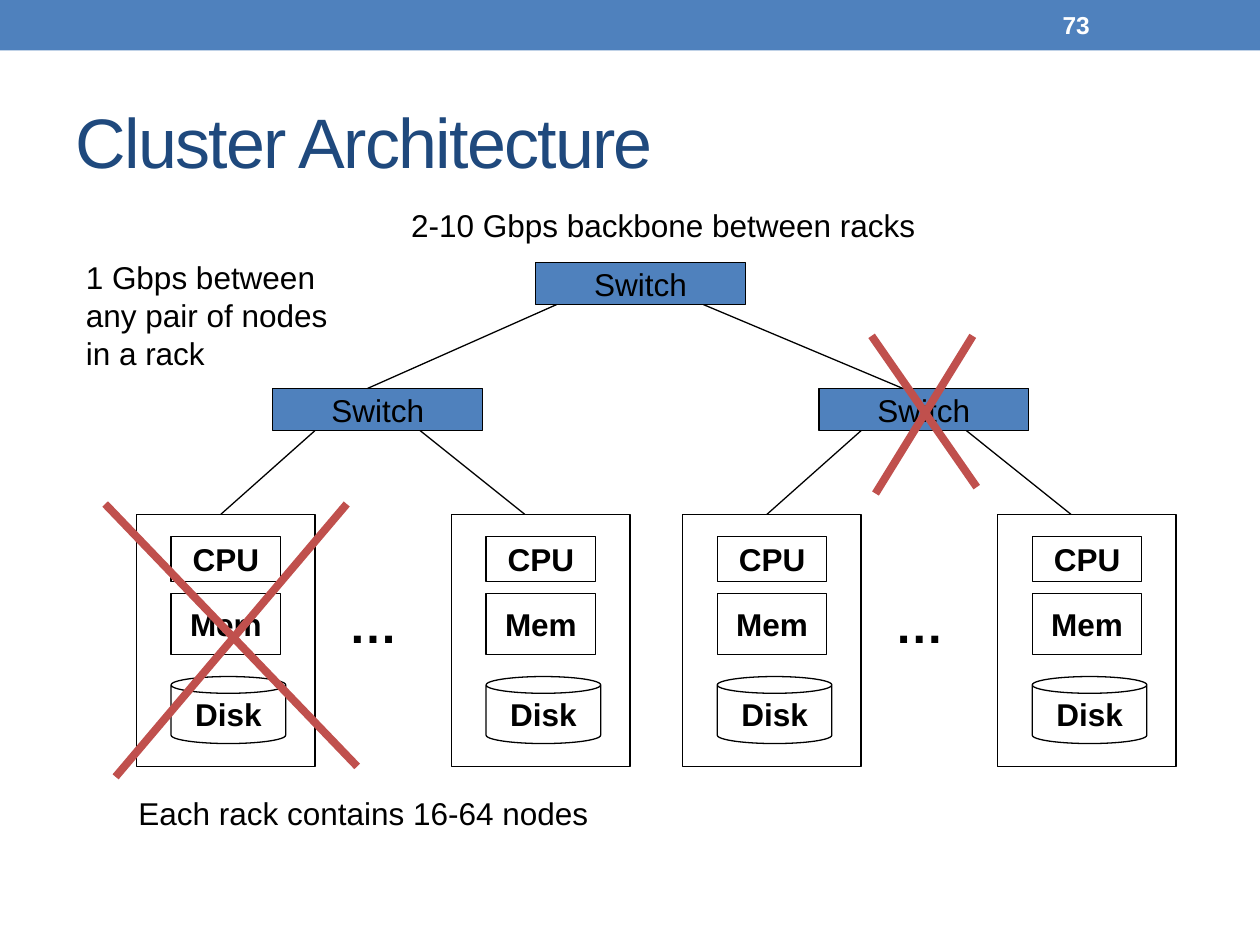
from typing import NamedTuple

from pptx import Presentation
from pptx.dml.color import RGBColor
from pptx.enum.shapes import MSO_CONNECTOR as Connector, MSO_SHAPE as Preset
from pptx.enum.text import MSO_ANCHOR as Anchor, PP_ALIGN as Align
from pptx.oxml.ns import qn
from pptx.util import Cm, Pt
from lxml.etree import SubElement

FONT = "Arial"
COLORS = {"blue": "4F81BD", "title": "1F497D", "red": "C0504D",
          "black": "000000", "white": "FFFFFF"}


class Box(NamedTuple):
    left: float
    top: float
    width: float
    height: float

    def lengths(self) -> list:
        return [Cm(value) for value in self]


class Line(NamedTuple):
    x1: float
    y1: float
    x2: float
    y2: float


class Part(NamedTuple):
    label: str
    preset: Preset
    box: Box  # relative to its rack


class Note(NamedTuple):
    text: str
    box: Box


# Layout in centimetres
CLUSTER_LEFTS = (2.75, 13.76)
NODE_PITCH = 6.35
RACK_TOP, RACK_WIDTH, RACK_HEIGHT = 10.37, 3.6, 5.08
SWITCH_WIDTH, SWITCH_HEIGHT = 4.23, 0.85
ROOT_TOP, SWITCH_TOP = 5.29, 7.83

PARTS = [
    Part("Mem", Preset.RECTANGLE, Box(0.7, 1.59, 2.21, 1.24)),
    Part("Disk", Preset.CAN, Box(0.7, 3.27, 2.31, 1.35)),
    Part("CPU", Preset.RECTANGLE, Box(0.7, 0.45, 2.21, 0.91)),
]
NOTES = [
    Note("Each rack contains 16-64 nodes", Box(2.54, 15.88, 10.74, 1.02)),
    Note("1 Gbps between\nany pair of nodes\nin a rack", Box(1.48, 5.08, 6.07, 2.54)),
    Note("2-10 Gbps backbone between racks", Box(8.04, 4.02, 11.96, 1.02)),
]
CROSSES = [
    Line(2.12, 10.16, 7.2, 15.45), Line(6.99, 10.16, 2.33, 15.66),
    Line(17.57, 6.77, 19.69, 9.82), Line(19.61, 6.77, 17.65, 9.95),
]


def color(name: str) -> RGBColor:
    return RGBColor.from_string(COLORS[name])


def write(shape, text: str, *, size=18, bold=False, ink="black", align=Align.LEFT,
          anchor=Anchor.TOP, wrap=False, spacing=None) -> None:
    frame = shape.text_frame
    frame.text = text
    frame.word_wrap = wrap
    frame.vertical_anchor = anchor
    for paragraph in frame.paragraphs:
        paragraph.alignment = align
        for run in paragraph.runs:
            run.font.name, run.font.size, run.font.bold = FONT, Pt(size), bold
            run.font.color.rgb = color(ink)
            if spacing is not None:
                run.font._element.set("spc", str(spacing))


def add_text(shapes, text: str, box: Box, **style) -> None:
    write(shapes.add_textbox(*box.lengths()), text, **style)


def add_box(shapes, preset: Preset, box: Box, text="", fill=None, outline="black", **style) -> None:
    shape = shapes.add_shape(preset, *box.lengths())
    shape.shadow.inherit = False
    if fill:
        shape.fill.solid()
        shape.fill.fore_color.rgb = color(fill)
    else:
        shape.fill.background()
    if outline:
        shape.line.color.rgb = color(outline)
        shape.line.width = Pt(0.75)
    else:
        shape.line.fill.background()
    if text:
        write(shape, text, align=Align.CENTER, anchor=Anchor.MIDDLE, **style)


def add_line(shapes, line: Line, ink="black", width=0.75) -> None:
    connector = shapes.add_connector(Connector.STRAIGHT, *[Cm(value) for value in line])
    connector.line.color.rgb = color(ink)
    connector.line.width = Pt(width)
    SubElement(connector._element.spPr, qn("a:effectLst"))


def add_switch(shapes, left: float, top: float) -> None:
    box = Box(left, top, SWITCH_WIDTH, SWITCH_HEIGHT)
    add_box(shapes, Preset.RECTANGLE, box, "Switch", fill="blue")


def add_rack(shapes, left: float) -> None:
    rack = shapes.add_group_shape().shapes
    for part in PARTS:
        box = part.box._replace(left=left + part.box.left, top=RACK_TOP + part.box.top)
        add_box(rack, part.preset, box, part.label, bold=True)
    add_box(rack, Preset.RECTANGLE, Box(left, RACK_TOP, RACK_WIDTH, RACK_HEIGHT))


def add_cluster(shapes, left: float) -> None:
    for node in range(2):
        add_rack(shapes, left + node * NODE_PITCH)
    add_text(shapes, "…", Box(left + 4.03, 11.86, 1.55, 1.45), size=28, bold=True)
    add_switch(shapes, left + 2.75, SWITCH_TOP)
    for start, end in ((3.6, 1.7), (5.72, 7.83)):
        add_line(shapes, Line(left + start, SWITCH_TOP + SWITCH_HEIGHT, left + end, RACK_TOP))


def main() -> None:
    presentation = Presentation()
    presentation.slide_width, presentation.slide_height = Cm(25.4), Cm(19.05)
    slide = presentation.slides.add_slide(presentation.slide_layouts[5])
    shapes = slide.shapes

    # Header band, page number and title
    add_box(shapes, Preset.RECTANGLE, Box(0, 0, 25.4, 1.02), fill="blue", outline=None)
    add_text(shapes, "73", Box(21.17, 0.05, 2.97, 0.91), size=14, bold=True,
             ink="white", anchor=Anchor.MIDDLE, wrap=True)
    title = shapes.title
    title.left, title.top, title.width, title.height = Box(1.27, 1.47, 22.86, 2.74).lengths()
    write(title, "Cluster Architecture", size=40, ink="title",
          anchor=Anchor.MIDDLE, wrap=True, spacing=-100)

    # Racks and their switches
    for left in CLUSTER_LEFTS:
        add_cluster(shapes, left)

    # Backbone
    add_switch(shapes, 10.8, ROOT_TOP)
    for start, end in ((11.22, 7.41), (14.18, 18.2)):
        add_line(shapes, Line(start, ROOT_TOP + SWITCH_HEIGHT, end, SWITCH_TOP))

    # Notes
    for note in NOTES:
        add_text(shapes, note.text, note.box)

    # Failure marks
    for cross in CROSSES:
        add_line(shapes, cross, ink="red", width=4.5)

    presentation.save("out.pptx")


if __name__ == "__main__":
    main()
